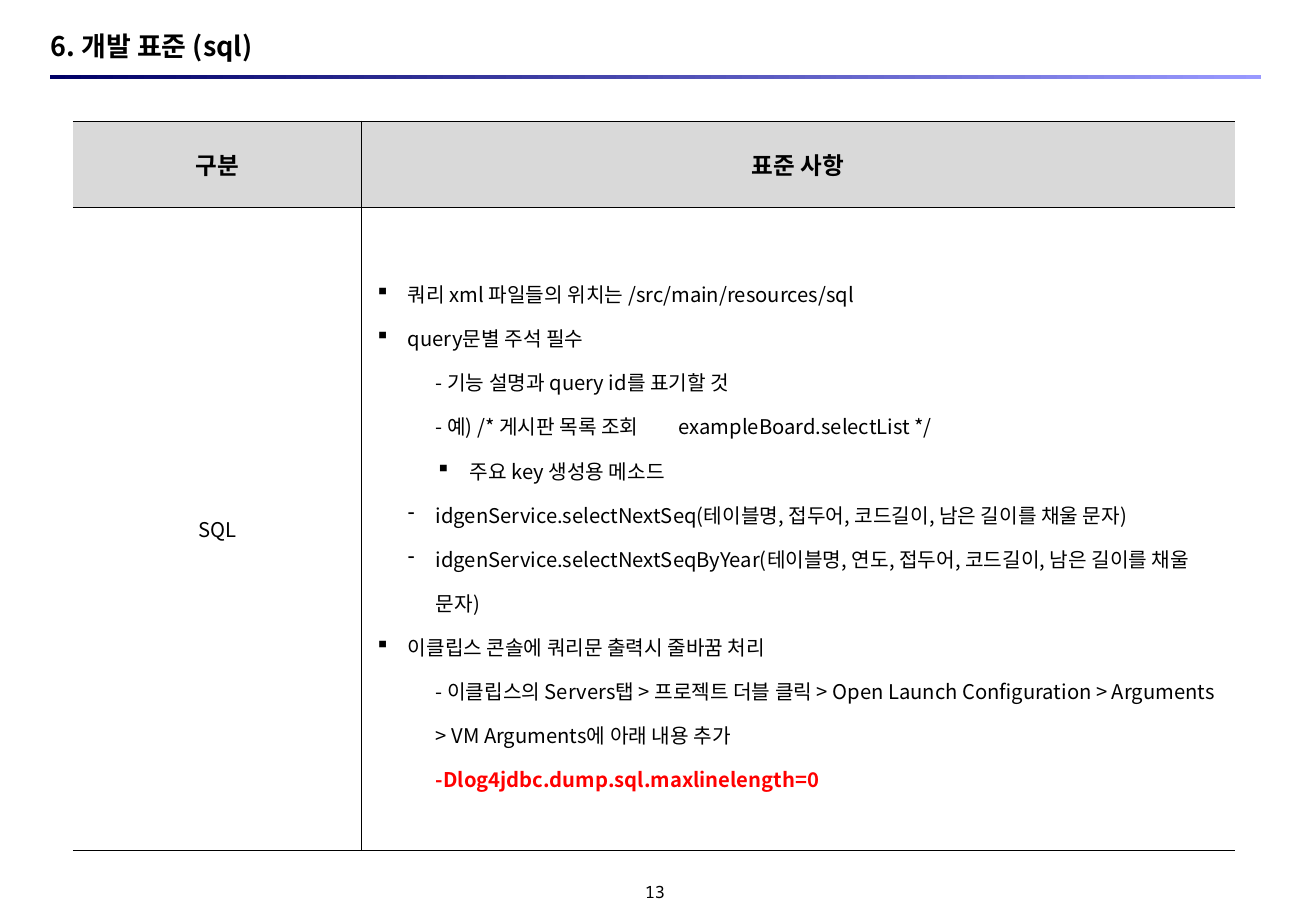
import pptx
import pptx.util
import pptx.dml.color
import pptx.enum.shapes
import pptx.enum.text
import pptx.oxml
from lxml import etree

Inches, Pt = pptx.util.Inches, pptx.util.Pt
MSO = pptx.enum.text.MSO_ANCHOR
ALIGN = pptx.enum.text.PP_ALIGN
NS = "http://schemas.openxmlformats.org/drawingml/2006/main"
SANS = "Noto Sans CJK KR"


def color(code):
    return pptx.dml.color.RGBColor.from_string(code)


def write(para, text, size, bold=False, align=ALIGN.LEFT, face=SANS, ink="000000"):
    """Fill a paragraph and set its font for Latin and Korean letters."""
    para.text = text
    para.alignment = align
    font = para.font
    font.size, font.bold, font.name = Pt(size), bold, face
    font.color.rgb = color(ink)
    latin = font._element.find(f"{{{NS}}}latin")
    latin.addnext(etree.Element(f"{{{NS}}}ea", typeface=face))


deck = pptx.Presentation()
deck.slide_width, deck.slide_height = Inches(10.84), Inches(7.5)
slide = deck.slides.add_slide(deck.slide_layouts[6])

# Heading and page number
labels = [
    (0.42, 0.24, 9.97, 0.27, "6. 개발 표준 (sql)", 16, True, ALIGN.LEFT, SANS),
    (5.06, 7.24, 0.67, 0.2, "13", 10, False, ALIGN.CENTER, "Noto Sans Mono"),
]
for left, top, wide, high, *style in labels:
    box = slide.shapes.add_textbox(*map(Inches, (left, top, wide, high)))
    frame = box.text_frame
    frame.word_wrap = True
    frame.vertical_anchor = MSO.MIDDLE
    frame.margin_left = frame.margin_right = 0
    frame.margin_top = frame.margin_bottom = 0
    write(frame.paragraphs[0], *style)

# Gradient rule under the heading
rule = slide.shapes.add_shape(
    pptx.enum.shapes.MSO_SHAPE.RECTANGLE,
    Inches(0.41), Inches(0.62), Inches(9.98), Inches(0.03))
rule.shadow.inherit = False
rule.line.fill.background()
rule.fill.gradient()
rule.fill.gradient_angle = 0
for stop, code, spot in zip(rule.fill.gradient_stops, ("000066", "9999FF"), (0, 1)):
    stop.color.rgb = color(code)
    stop.position = spot

# Table grid
cols, rows = (2.38, 7.19), (0.71, 5.29)
table = slide.shapes.add_table(
    2, 2, Inches(0.6), Inches(1), Inches(sum(cols)), Inches(sum(rows))).table
for i in range(2):
    table.columns[i].width = Inches(cols[i])
    table.rows[i].height = Inches(rows[i])

for r in range(2):
    for c in range(2):
        cell = table.cell(r, c)
        cell.vertical_anchor = MSO.MIDDLE
        cell.margin_left = cell.margin_right = Inches(0.11)
        cell.margin_top = cell.margin_bottom = Inches(0.05)
        props = cell._tc.get_or_add_tcPr()
        inner = 0.45
        edges = {"L": inner * c, "R": inner * (1 - c), "T": 0.96, "B": 0.96}
        for side, width in edges.items():
            paint = ('<a:solidFill><a:srgbClr val="000000"/></a:solidFill>'
                     if width else "<a:noFill/>")
            props.append(pptx.oxml.parse_xml(
                f'<a:ln{side} xmlns:a="{NS}" w="{Pt(width)}">{paint}</a:ln{side}>'))
        if r == 0:
            cell.fill.solid()
            cell.fill.fore_color.rgb = color("D9D9D9")
        else:
            cell.fill.background()

heads = [(0, 0, "구분", 14, True), (0, 1, "표준 사항", 14, True), (1, 0, "SQL", 12, False)]
for r, c, text, size, bold in heads:
    write(table.cell(r, c).text_frame.paragraphs[0], text, size, bold, ALIGN.CENTER)

# Rules: left margin, hanging indent, bullet, text
TOP, KEY, SUB, DASH = (0.27, 0.27, "▪"), (0.78, 0.28, "▪"), (0.5, 0, ""), (0.5, 0.23, "-")
items = [
    (TOP, "쿼리 xml 파일들의 위치는 /src/main/resources/sql"),
    (TOP, "query문별 주석 필수"),
    (SUB, "- 기능 설명과 query id를 표기할 것"),
    (SUB, "- 예) /* 게시판 목록 조회\texampleBoard.selectList */"),
    (KEY, "주요 key 생성용 메소드"),
    (DASH, "idgenService.selectNextSeq(테이블명, 접두어, 코드길이, 남은 길이를 채울 문자)"),
    (DASH, "idgenService.selectNextSeqByYear(테이블명, 연도, 접두어, 코드길이, "
           "남은 길이를 채울 문자)"),
    (TOP, "이클립스 콘솔에 쿼리문 출력시 줄바꿈 처리"),
    (SUB, "- 이클립스의 Servers탭 > 프로젝트 더블 클릭 > Open Launch Configuration > "
          "Arguments > VM Arguments에 아래 내용 추가"),
    (SUB, "-Dlog4jdbc.dump.sql.maxlinelength=0"),
]
frame = table.cell(1, 1).text_frame
for i, ((left, hang, mark), text) in enumerate(items):
    para = frame.add_paragraph() if i else frame.paragraphs[0]
    para.line_spacing = 1.5
    props = para._p.get_or_add_pPr()
    props.set("marL", str(Inches(left)))
    props.set("indent", str(-Inches(hang)))
    if mark:
        etree.SubElement(props, f"{{{NS}}}buChar", char=mark)
    else:
        etree.SubElement(props, f"{{{NS}}}buNone")
    if "\t" in text:
        tabs = etree.SubElement(props, f"{{{NS}}}tabLst")
        etree.SubElement(tabs, f"{{{NS}}}tab", pos=str(Inches(2)), algn="l")
    last = i == len(items) - 1
    write(para, text, 12, bold=last, ink="FF0000" if last else "000000")

deck.save("out.pptx")
